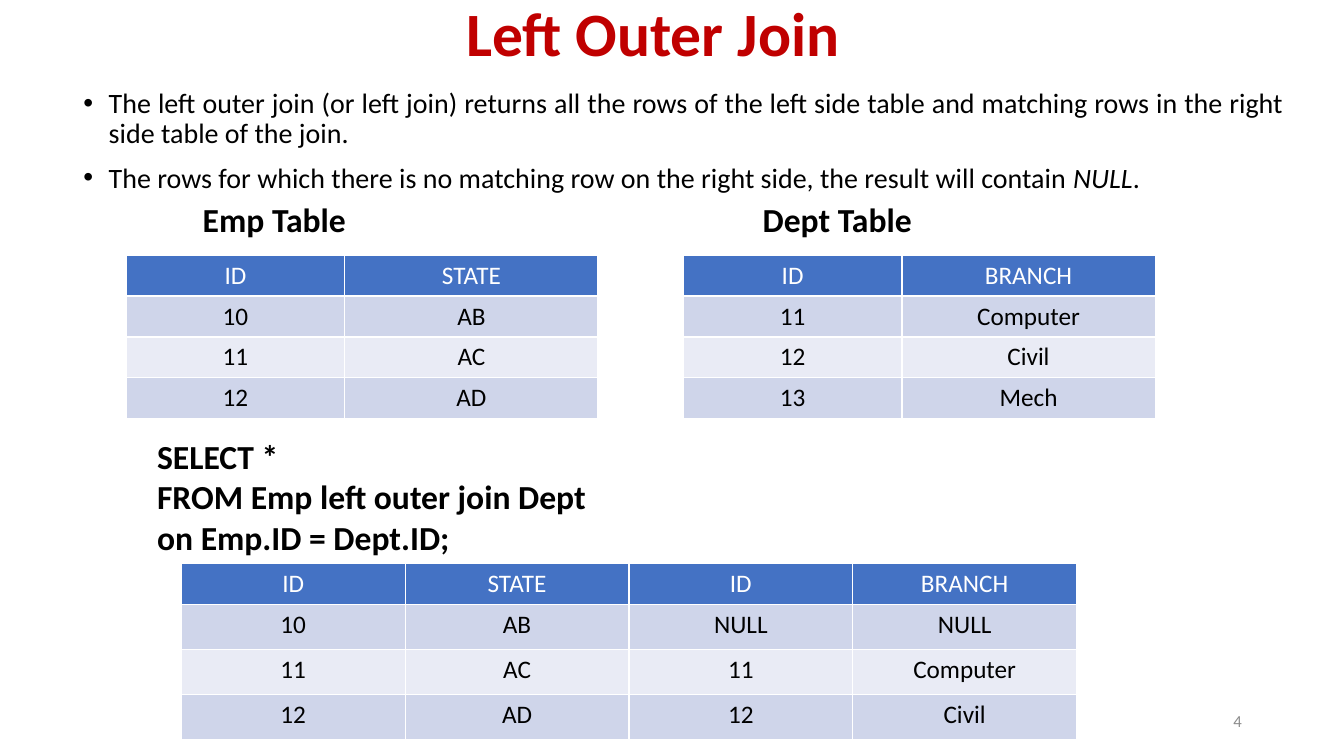
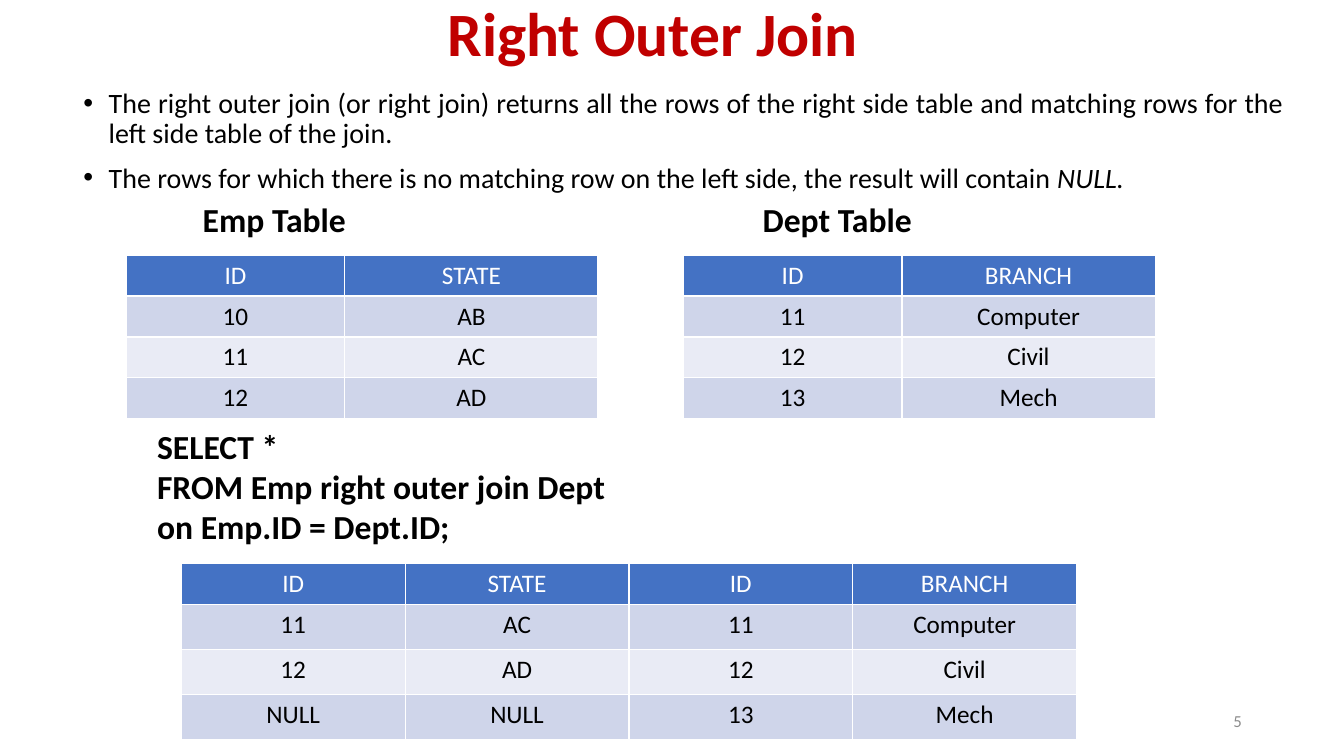
import pptx
import pptx.dml.color
import pptx.enum.text
import pptx.oxml
import pptx.oxml.ns
import pptx.util
from pptx.util import Cm

ALIGN = pptx.enum.text.PP_ALIGN
ANCHOR = pptx.enum.text.MSO_ANCHOR
Pt = pptx.util.Pt

COLORS = {
    "title": "C00000",
    "text": "000000",
    "number": "8C8C8C",
    "header": "4472C4",
    "header_text": "FFFFFF",
    "odd_row": "CFD5EA",
    "even_row": "E9EBF5",
}

# Each style: colour name, font attributes, paragraph attributes.
STYLES = {
    "title": ("title", {"size": Pt(44), "bold": True},
              {"alignment": ALIGN.CENTER, "line_spacing": 0.9}),
    "bullet": ("text", {"size": Pt(20)},
               {"alignment": ALIGN.JUSTIFY, "line_spacing": 0.9}),
    "label": ("text", {"size": Pt(24), "bold": True}, {}),
    "number": ("number", {"size": Pt(12)}, {"alignment": ALIGN.RIGHT}),
    "header": ("header_text", {"size": Pt(18), "bold": False}, {"alignment": ALIGN.CENTER}),
    "cell": ("text", {"size": Pt(18), "bold": False}, {"alignment": ALIGN.CENTER}),
}

HEADER_HEIGHT = Cm(1.03)
EMP = [("ID", "STATE"), ("10", "AB"), ("11", "AC"), ("12", "AD")]
DEPT = [("ID", "BRANCH"), ("11", "Computer"), ("12", "Civil"), ("13", "Mech")]
RESULT_HEADER = EMP[0] + DEPT[0]

SLIDES = [
    {
        "number": "4",
        "title": "Left Outer Join",
        "bullets": [
            [("The left outer join (or left join) returns all the rows of the left side table "
              "and matching rows in the right side table of the join.", False)],
            [("The rows for which there is no matching row on the right side, "
              "the result will contain ", False), ("NULL", True), (".", False)],
        ],
        "query": ["SELECT *", "FROM Emp left outer join Dept", "on Emp.ID = Dept.ID;"],
        "query_top": Cm(10.86),
        "result": [("10", "AB", "NULL", "NULL"),
                   ("11", "AC", "11", "Computer"),
                   ("12", "AD", "12", "Civil")],
    },
    {
        "number": "5",
        "title": "Right Outer Join",
        "bullets": [
            [("The right outer join (or right join) returns all the rows of the right side table "
              "and matching rows for the left side table of the join.", False)],
            [("The rows for which there is no matching row on the left side, "
              "the result will contain ", False), ("NULL.", True)],
        ],
        "query": ["SELECT *", "FROM Emp right outer join Dept", "on Emp.ID = Dept.ID;"],
        "query_top": Cm(10.6),
        "result": [("11", "AC", "11", "Computer"),
                   ("12", "AD", "12", "Civil"),
                   ("NULL", "NULL", "13", "Mech")],
    },
]


def rgb(name):
    return pptx.dml.color.RGBColor.from_string(COLORS[name])


def style_paragraph(paragraph, style):
    color, font_values, paragraph_values = STYLES[style]
    for target, values in ((paragraph, paragraph_values),
                           (paragraph.font, {"name": "Calibri", **font_values})):
        for attribute, value in values.items():
            setattr(target, attribute, value)
    paragraph.font.color.rgb = rgb(color)


def add_lines(slide, box, lines, style, anchor=ANCHOR.TOP):
    """Place one paragraph per line in a text box and return its frame."""
    frame = slide.shapes.add_textbox(*box).text_frame
    frame.word_wrap = True
    frame.vertical_anchor = anchor
    frame.text = "\n".join(lines)
    for paragraph in frame.paragraphs:
        style_paragraph(paragraph, style)
    return frame


def add_title(slide, box, title):
    frame = add_lines(slide, box, [title], "title", ANCHOR.MIDDLE)
    frame.margin_top = frame.margin_bottom = 0


def add_bullets(slide, box, bullets):
    """Place bullets, each a list of (text, italic) runs."""
    frame = slide.shapes.add_textbox(*box).text_frame
    frame.word_wrap = True
    for index, runs in enumerate(bullets):
        paragraph = frame.add_paragraph() if index else frame.paragraphs[0]
        properties = paragraph._p.get_or_add_pPr()
        properties.set("marL", str(Cm(0.64)))
        properties.set("indent", str(-Cm(0.64)))
        namespace = pptx.oxml.ns.nsdecls("a")
        properties.append(pptx.oxml.parse_xml(f'<a:buFont {namespace} typeface="Arial"/>'))
        properties.append(pptx.oxml.parse_xml(f'<a:buChar {namespace} char="•"/>'))
        style_paragraph(paragraph, "bullet")
        if index:
            paragraph.space_before = Pt(10)
        for text, italic in runs:
            run = paragraph.add_run()
            run.text = text
            run.font.italic = italic


def add_data_table(slide, left, top, rows, column_widths, row_height):
    """Place a table with a header row and alternating row fills."""
    height = HEADER_HEIGHT + row_height * (len(rows) - 1)
    table = slide.shapes.add_table(len(rows), len(column_widths), left, top,
                                   sum(column_widths), height).table
    for column, width in zip(table.columns, column_widths):
        column.width = width
    for row_index, values in enumerate(rows):
        table.rows[row_index].height = row_height if row_index else HEADER_HEIGHT
        fill = ("odd_row" if row_index % 2 else "even_row") if row_index else "header"
        for column_index, value in enumerate(values):
            cell = table.cell(row_index, column_index)
            cell.fill.solid()
            cell.fill.fore_color.rgb = rgb(fill)
            cell.text = value
            style_paragraph(cell.text_frame.paragraphs[0], "cell" if row_index else "header")


def add_source_table(slide, left, top, name, name_indent, rows):
    """Place a table with its name above it."""
    add_lines(slide, (left + name_indent, top, Cm(7), Cm(1.27)), [name], "label")
    add_data_table(slide, left, top + Cm(1.53), rows, (Cm(5.51), Cm(6.38)), HEADER_HEIGHT)


def add_join_slide(presentation, content):
    slide = presentation.slides.add_slide(presentation.slide_layouts[6])
    add_title(slide, (Cm(1.85), 0, Cm(29.21), Cm(1.85)), content["title"])
    add_bullets(slide, (Cm(1.85), Cm(2.13), Cm(30.76), Cm(2.9)), content["bullets"])
    add_lines(slide, (Cm(23.93), Cm(17.65), Cm(7.62), Cm(1.02)), [content["number"]],
              "number", ANCHOR.MIDDLE)
    add_source_table(slide, Cm(3.18), Cm(4.9), "Emp Table", Cm(1.68), EMP)
    add_source_table(slide, Cm(17.22), Cm(4.9), "Dept Table", Cm(1.75), DEPT)
    add_lines(slide, (Cm(3.71), content["query_top"], Cm(16.94), Cm(3.35)),
              content["query"], "label")
    add_data_table(slide, Cm(4.57), Cm(14.2), [RESULT_HEADER] + content["result"],
                   [Cm(5.64)] * len(RESULT_HEADER), Cm(1.14))


def main():
    presentation = pptx.Presentation()
    presentation.slide_width = Cm(33.87)
    presentation.slide_height = Cm(19.05)
    for content in SLIDES:
        add_join_slide(presentation, content)
    presentation.save("out.pptx")


if __name__ == "__main__":
    main()
